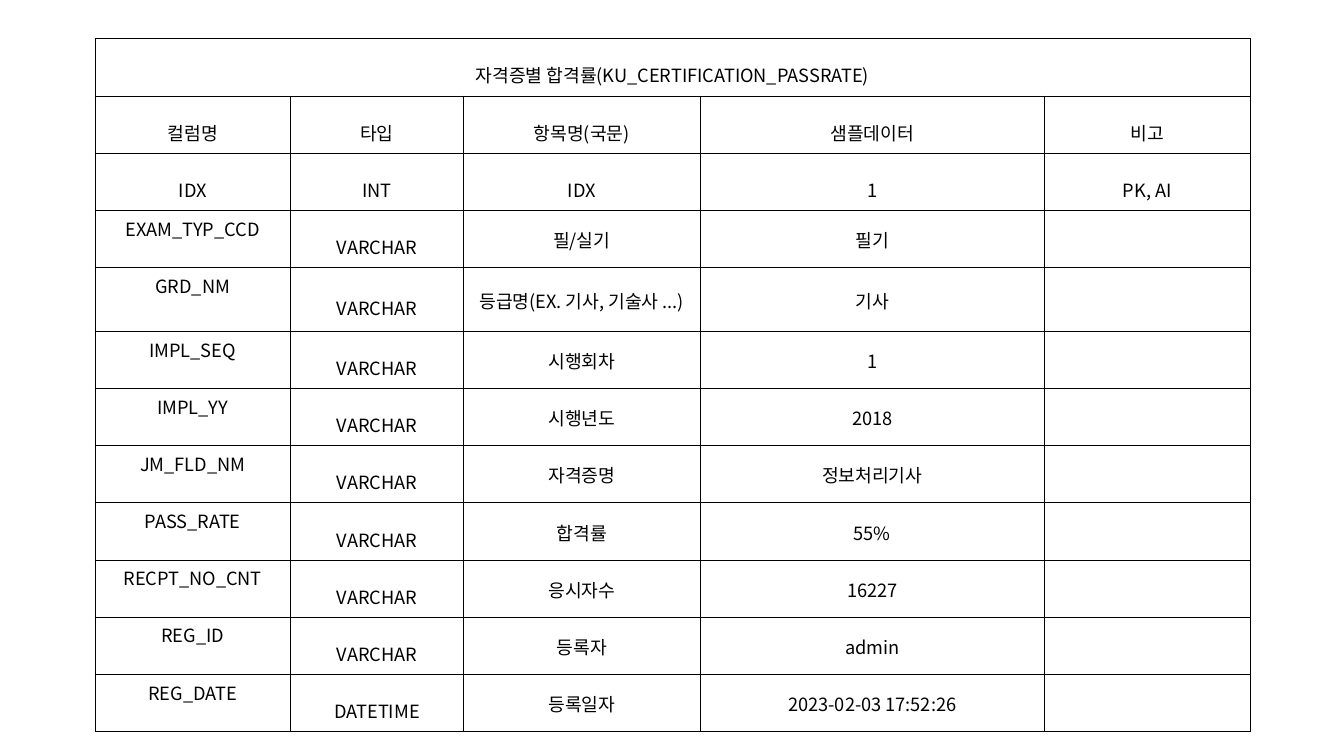
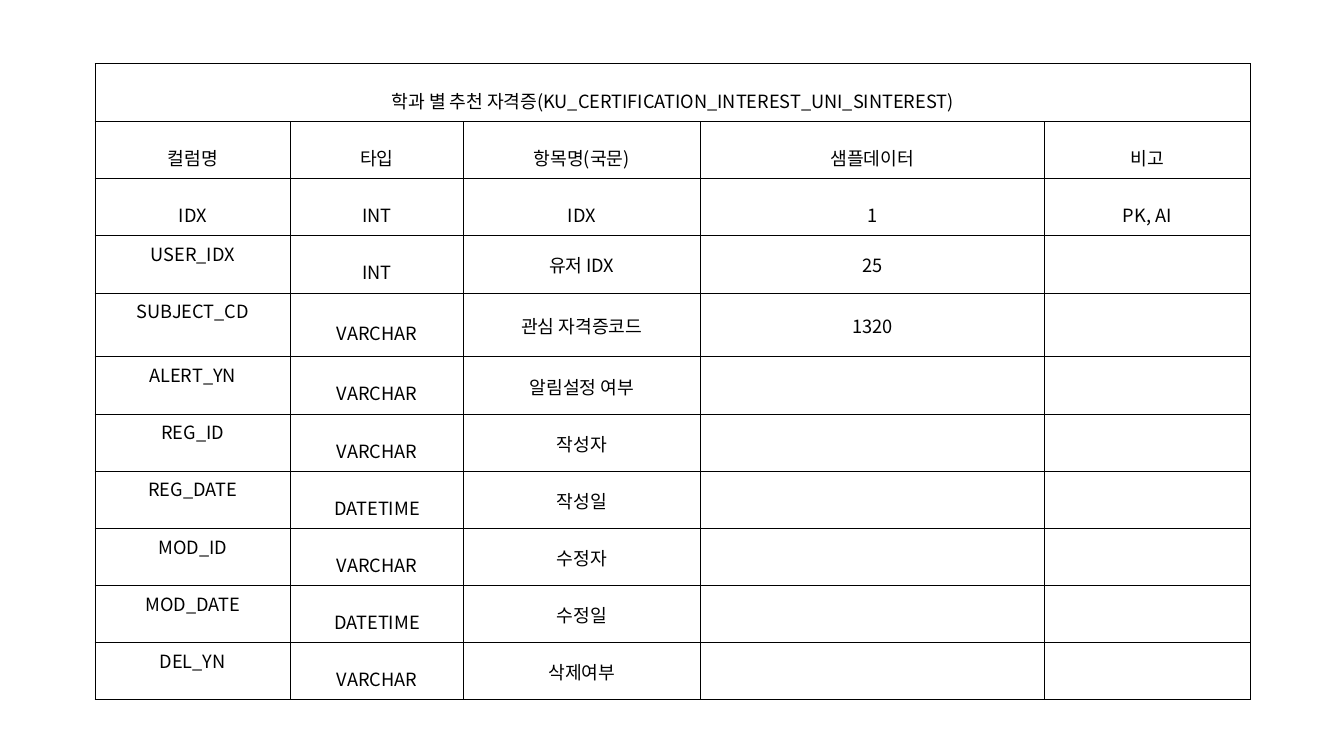
from lxml import etree
from pptx import Presentation
from pptx.dml.color import RGBColor
from pptx.enum.text import MSO_ANCHOR, PP_ALIGN
from pptx.oxml import parse_xml
from pptx.util import Cm, Pt

TOP, MIDDLE = MSO_ANCHOR.TOP, MSO_ANCHOR.MIDDLE
CENTER = PP_ALIGN.CENTER
NS = "http://schemas.openxmlformats.org/drawingml/2006/main"
FONT, SIZE = "Noto Sans CJK KR", 13
BLACK, WHITE = "000000", "FFFFFF"
LINE = 0.43

LEFT = 2.39
WIDTHS = [4.93, 4.36, 5.96, 8.68, 5.18]
TITLE_H, ROW_H, TALL_H = 1.3, 1.44, 1.61
TALL_ROW = 4
TITLE_PAD, CELL_PAD = (0.41, 0.2), (0.3, 0.08)

HEADS = [
    ("컬럼명", "타입", "항목명(국문)", "샘플데이터", "비고"),
    ("IDX", "INT", "IDX", "1", "PK, AI"),
]
TABLES = [
    {
        "title": "자격증별 합격률(KU_CERTIFICATION_PASSRATE)",
        "top": 0.96,
        "rows": [
            ("EXAM_TYP_CCD", "VARCHAR", "필/실기", "필기", ""),
            ("GRD_NM", "VARCHAR", "등급명(EX. 기사, 기술사 ...)", "기사", ""),
            ("IMPL_SEQ", "VARCHAR", "시행회차", "1", ""),
            ("IMPL_YY", "VARCHAR", "시행년도", "2018", ""),
            ("JM_FLD_NM", "VARCHAR", "자격증명", "정보처리기사", ""),
            ("PASS_RATE", "VARCHAR", "합격률", "55%", ""),
            ("RECPT_NO_CNT", "VARCHAR", "응시자수", "16227", ""),
            ("REG_ID", "VARCHAR", "등록자", "admin", ""),
            ("REG_DATE", "DATETIME", "등록일자", "2023-02-03 17:52:26", ""),
        ],
    },
    {
        "title": "학과 별 추천 자격증(KU_CERTIFICATION_INTEREST_UNI_SINTEREST)",
        "top": 1.6,
        "rows": [
            ("USER_IDX", "INT", "유저 IDX", "25", ""),
            ("SUBJECT_CD", "VARCHAR", "관심 자격증코드", "1320", ""),
            ("ALERT_YN", "VARCHAR", "알림설정 여부", "", ""),
            ("REG_ID", "VARCHAR", "작성자", "", ""),
            ("REG_DATE", "DATETIME", "작성일", "", ""),
            ("MOD_ID", "VARCHAR", "수정자", "", ""),
            ("MOD_DATE", "DATETIME", "수정일", "", ""),
            ("DEL_YN", "VARCHAR", "삭제여부", "", ""),
        ],
    },
]


def color(code):
    return RGBColor.from_string(code)


def border(cell):
    props = cell._tc.get_or_add_tcPr()
    for spot, side in enumerate("LRTB"):
        props.insert(spot, parse_xml(
            f'<a:ln{side} xmlns:a="{NS}" w="{Pt(LINE)}"><a:solidFill>'
            f'<a:srgbClr val="{BLACK}"/></a:solidFill></a:ln{side}>'))


def write(cell, text, loose):
    para = cell.text_frame.paragraphs[0]
    para.alignment = CENTER
    para.line_spacing = 1.6 if loose else 1.07
    if not loose:
        para.space_after = Pt(8)
    run = para.add_run()
    run.text = text
    run.font.size = Pt(SIZE)
    run.font.color.rgb = color(BLACK)
    run.font.name = FONT
    east = etree.SubElement(run.font._element, f"{{{NS}}}ea")
    east.set("typeface", FONT)


def style(cell, row, col):
    wide, high = CELL_PAD if row else TITLE_PAD
    cell.margin_left = cell.margin_right = Cm(wide)
    cell.margin_top = cell.margin_bottom = Cm(high)
    body = row > len(HEADS)
    cell.vertical_anchor = TOP if body and col == 0 else MIDDLE
    if body and col in (0, 2, 3):
        cell.fill.solid()
        cell.fill.fore_color.rgb = color(WHITE)
    else:
        cell.fill.background()
    border(cell)


def build(slide, data):
    rows = [(data["title"], "", "", "", "")] + HEADS + data["rows"]
    sizes = [TITLE_H] + [ROW_H] * (len(rows) - 1)
    sizes[TALL_ROW] = TALL_H
    table = slide.shapes.add_table(
        len(rows), len(WIDTHS), Cm(LEFT), Cm(data["top"]),
        Cm(sum(WIDTHS)), Cm(sum(sizes))).table
    table.first_row = table.horz_banding = False
    for col, width in zip(table.columns, WIDTHS):
        col.width = Cm(width)
    for row, size in zip(table.rows, sizes):
        row.height = Cm(size)
    for y, texts in enumerate(rows):
        for x, text in enumerate(texts):
            cell = table.cell(y, x)
            style(cell, y, x)
            if text:
                write(cell, text, y <= len(HEADS) or x == 1)
    table.cell(0, 0).merge(table.cell(0, len(WIDTHS) - 1))


def main():
    """Build one slide for each database table."""
    deck = Presentation()
    deck.slide_width, deck.slide_height = Cm(33.87), Cm(19.05)
    for data in TABLES:
        build(deck.slides.add_slide(deck.slide_layouts[6]), data)
    deck.save("out.pptx")


if __name__ == "__main__":
    main()
